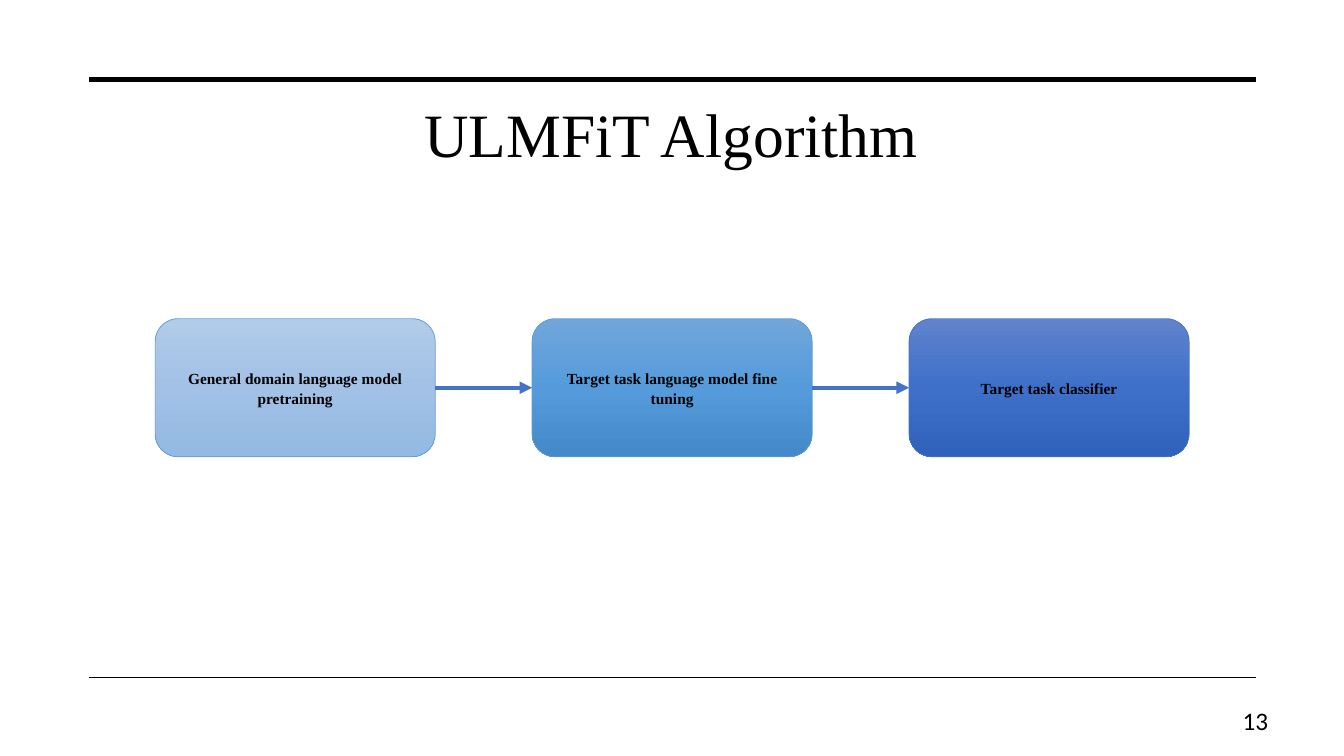
from copy import deepcopy

from pptx import Presentation
from pptx.dml.color import RGBColor
from pptx.enum.shapes import MSO_CONNECTOR, MSO_SHAPE
from pptx.enum.text import MSO_ANCHOR, PP_ALIGN
from pptx.oxml.ns import qn
from pptx.oxml.xmlchemy import OxmlElement
from pptx.util import Cm, Pt

# Content
TITLE = "ULMFiT Algorithm"
PAGE_NUMBER = "13"
STEPS = [
    ("General domain language model pretraining", "pale"),
    ("Target task language model fine tuning", "medium"),
    ("Target task classifier", "deep"),
]
COLORS = {"black": "000000", "arrow": "4472C4"}
GRADIENTS = {
    "pale": ("B1CBE9", "A3C1E5", "93B9E4"),
    "medium": ("71A6DB", "559BDB", "448ACA"),
    "deep": ("6183CB", "3E70CA", "3062BB"),
}
OUTLINES = {"pale": "5B9BD5", "medium": "5B9BD5", "deep": "4472C4"}

# Layout in centimetres
RULE_LEFT, RULE_RIGHT = 2.24, 31.65
RULES = [(2.0, 3.5), (17.07, 1)]  # height on the slide, width in points
STEP_LEFT, STEP_TOP = 3.91, 8.03
STEP_WIDTH, STEP_HEIGHT = 7.06, 3.48
STEP_PITCH = 9.5

presentation = Presentation()
presentation.slide_width = Cm(33.87)
presentation.slide_height = Cm(19.05)
slide = presentation.slides.add_slide(presentation.slide_layouts[6])


def write_text(shape, text, size, font="Times New Roman", bold=False,
               align=PP_ALIGN.CENTER, anchor=MSO_ANCHOR.MIDDLE,
               line_spacing=1.0, space_after=0):
    frame = shape.text_frame
    frame.word_wrap = True
    frame.vertical_anchor = anchor
    paragraph = frame.paragraphs[0]
    paragraph.alignment = align
    paragraph.line_spacing = line_spacing
    paragraph.space_after = Pt(space_after)
    run = paragraph.add_run()
    run.text = text
    run.font.name = font
    run.font.size = Pt(size)
    run.font.bold = bold
    run.font.color.rgb = RGBColor.from_string(COLORS["black"])


def add_line(left, right, y, color, width, arrow=False):
    line = slide.shapes.add_connector(
        MSO_CONNECTOR.STRAIGHT, Cm(left), Cm(y), Cm(right), Cm(y))
    line.line.color.rgb = RGBColor.from_string(COLORS[color])
    line.line.width = Pt(width)
    if arrow:
        head = OxmlElement("a:tailEnd")
        head.set("type", "triangle")
        line.line._get_or_add_ln().append(head)
    line._element.spPr.append(OxmlElement("a:effectLst"))
    return line


def fill_gradient(shape, colors):
    shape.fill.gradient()
    shape.fill.gradient_angle = 270
    stop_list = shape._element.spPr.find(qn("a:gradFill")).find(qn("a:gsLst"))
    stop_list.insert(1, deepcopy(stop_list[0]))
    for index, (stop, color) in enumerate(zip(shape.fill.gradient_stops, colors)):
        stop.position = index / (len(colors) - 1)
        stop.color.rgb = RGBColor.from_string(color)


def add_step(left, text, shade):
    step = slide.shapes.add_shape(
        MSO_SHAPE.ROUNDED_RECTANGLE,
        Cm(left), Cm(STEP_TOP), Cm(STEP_WIDTH), Cm(STEP_HEIGHT))
    step.shadow.inherit = False
    fill_gradient(step, GRADIENTS[shade])
    step.line.color.rgb = RGBColor.from_string(OUTLINES[shade])
    step.line.width = Pt(0.5)
    write_text(step, text, 11, bold=True, line_spacing=1.07, space_after=8)
    return step


# Rules above and below the content
for y, width in RULES:
    add_line(RULE_LEFT, RULE_RIGHT, y, "black", width)

# Title
title = slide.shapes.add_textbox(Cm(2.16), Cm(2.29), Cm(29.51), Cm(2.13))
write_text(title, TITLE, 44, anchor=MSO_ANCHOR.TOP)

# Steps, each joined to the one before
previous = None
for index, (text, shade) in enumerate(STEPS):
    left = STEP_LEFT + index * STEP_PITCH
    step = add_step(left, text, shade)
    if previous is not None:
        arrow = add_line(left - STEP_PITCH + STEP_WIDTH, left,
                         STEP_TOP + STEP_HEIGHT / 2, "arrow", 3, arrow=True)
        arrow.begin_connect(previous, 3)
        arrow.end_connect(step, 1)
    previous = step

# Page number
number = slide.shapes.add_textbox(Cm(30.33), Cm(17.65), Cm(1.88), Cm(1.02))
write_text(number, PAGE_NUMBER, 18, font="Calibri", align=PP_ALIGN.RIGHT)

presentation.save("out.pptx")
